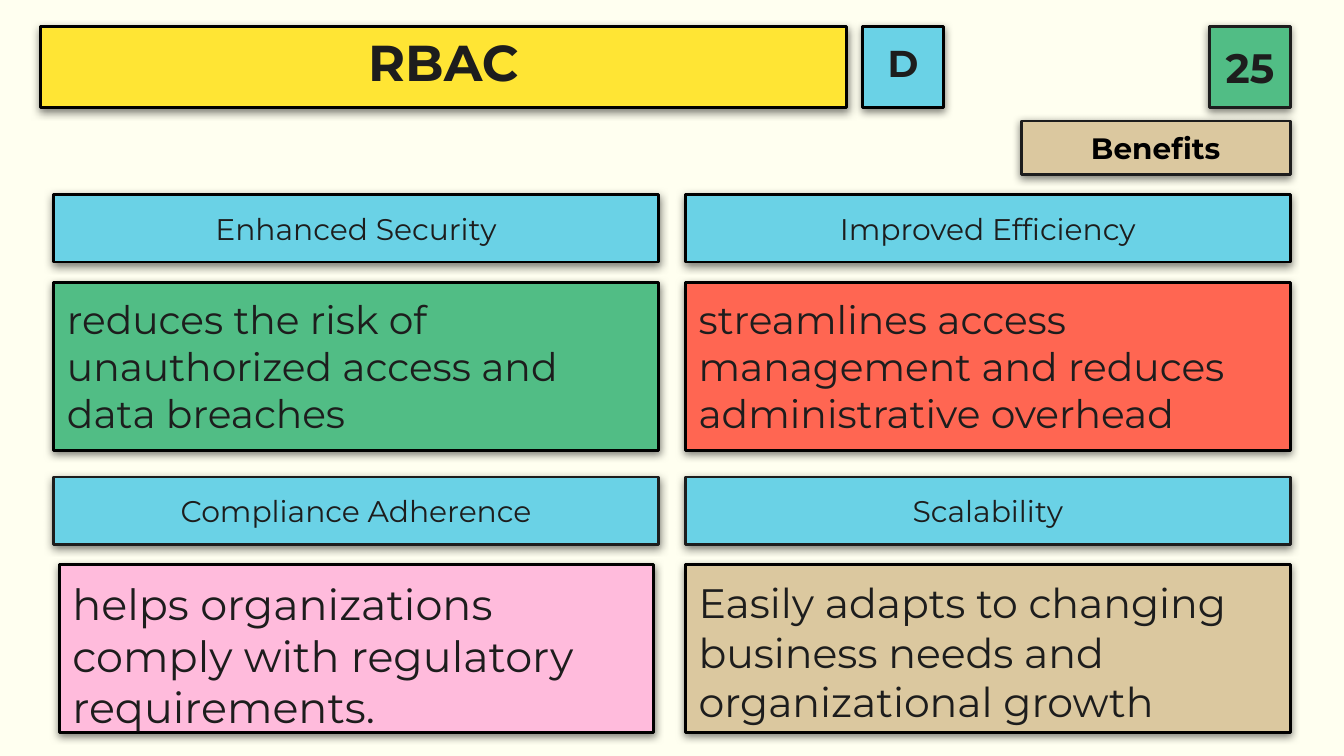
import pptx
import pptx.util
import pptx.dml.color
import pptx.enum.shapes
import pptx.enum.text
import pptx.oxml
import pptx.oxml.ns

Inches, Pt = pptx.util.Inches, pptx.util.Pt
ALIGN, ANCHOR = pptx.enum.text.PP_ALIGN, pptx.enum.text.MSO_ANCHOR

FONT = "Montserrat"
INK, BLACK = "1D1D1D", "000000"
GREEN, BLUE, RED = "51BD85", "6AD2E6", "FF6652"
YELLOW, PINK, SAND = "FFE534", "FFBBDC", "DBC89F"

# Header boxes: text, (left, top, width, height), fill, outline, text colour, size, line spacing
HEADERS = [
    ("25", (9, 0.2, 0.6, 0.6), GREEN, INK, INK, 22, None),
    ("RBAC", (0.3, 0.2, 6, 0.6), YELLOW, BLACK, INK, 27, 0.8),
    ("D", (6.42, 0.2, 0.6, 0.6), BLUE, BLACK, INK, 20, 0.8),
    ("Benefits", (7.6, 0.9, 2, 0.4), SAND, INK, BLACK, 15.8, None),
]

# Benefit cards by row: heading, description, fill, text size, side inset
BENEFITS = [
    [("Enhanced Security",
      "reduces the risk of unauthorized access and data breaches", GREEN, 21, 0),
     ("Improved Efficiency",
      "streamlines access management and reduces administrative overhead", RED, 21, 0)],
    [("Compliance Adherence",
      "helps organizations comply with regulatory requirements.", PINK, 23, 0.04),
     ("Scalability",
      "Easily adapts to changing business needs and organizational growth", SAND, 22, 0)],
]
HEADING_OUTLINES = [BLACK, INK]

# Card grid
GRID_LEFT, GRID_TOP = 0.4, 1.45
COLUMN_STEP, ROW_STEP = 4.7, 2.1
CARD_WIDTH, HEADING_HEIGHT, BODY_HEIGHT, BODY_OFFSET = 4.5, 0.5, 1.25, 0.65


def color(value):
    return pptx.dml.color.RGBColor.from_string(value)


def add_shadow(box):
    box.shadow.inherit = False
    effects = box._element.spPr.find(pptx.oxml.ns.qn("a:effectLst"))
    effects.append(pptx.oxml.parse_xml(
        f'<a:outerShdw {pptx.oxml.ns.nsdecls("a")} blurRad="{Pt(4.5)}" dist="{Pt(1.5)}" '
        'dir="5400000" algn="bl" rotWithShape="0">'
        '<a:srgbClr val="000000"><a:alpha val="50000"/></a:srgbClr></a:outerShdw>'))


def add_box(slide, text, place, fill, outline, size, ink=INK, bold=False,
            centered=True, spacing=None):
    box = slide.shapes.add_shape(pptx.enum.shapes.MSO_SHAPE.RECTANGLE,
                                 *[Inches(length) for length in place])
    box.fill.solid()
    box.fill.fore_color.rgb = color(fill)
    box.line.color.rgb = color(outline)
    box.line.width = Pt(1.5)
    add_shadow(box)

    frame = box.text_frame
    frame.word_wrap = True
    frame.margin_left = frame.margin_right = Inches(0.1)
    frame.margin_top = frame.margin_bottom = Inches(0.1)
    frame.vertical_anchor = ANCHOR.MIDDLE if centered else ANCHOR.TOP
    frame.text = text
    paragraph = frame.paragraphs[0]
    paragraph.alignment = ALIGN.CENTER if centered else ALIGN.LEFT
    if spacing:
        paragraph.line_spacing = spacing
    paragraph.font.name = FONT
    paragraph.font.size = Pt(size)
    paragraph.font.bold = bold
    paragraph.font.color.rgb = color(ink)


def main():
    deck = pptx.Presentation()
    # Widescreen 16:9
    deck.slide_width = Inches(10)
    deck.slide_height = deck.slide_width * 9 // 16
    slide = deck.slides.add_slide(deck.slide_layouts[6])
    slide.background.fill.solid()
    slide.background.fill.fore_color.rgb = color("FFFFF0")

    # Title, letter, number and topic
    for text, place, fill, outline, ink, size, spacing in HEADERS:
        add_box(slide, text, place, fill, outline, size, ink, bold=True, spacing=spacing)

    # Benefit headings with their descriptions
    for row, cards in enumerate(BENEFITS):
        top = GRID_TOP + row * ROW_STEP
        for column, (heading, description, fill, size, inset) in enumerate(cards):
            left = GRID_LEFT + column * COLUMN_STEP
            add_box(slide, heading, (left, top, CARD_WIDTH, HEADING_HEIGHT),
                    BLUE, HEADING_OUTLINES[row], 16)
            add_box(slide, description,
                    (left + inset, top + BODY_OFFSET, CARD_WIDTH - 2 * inset, BODY_HEIGHT),
                    fill, BLACK, size, centered=False)

    deck.save("out.pptx")


if __name__ == "__main__":
    main()
